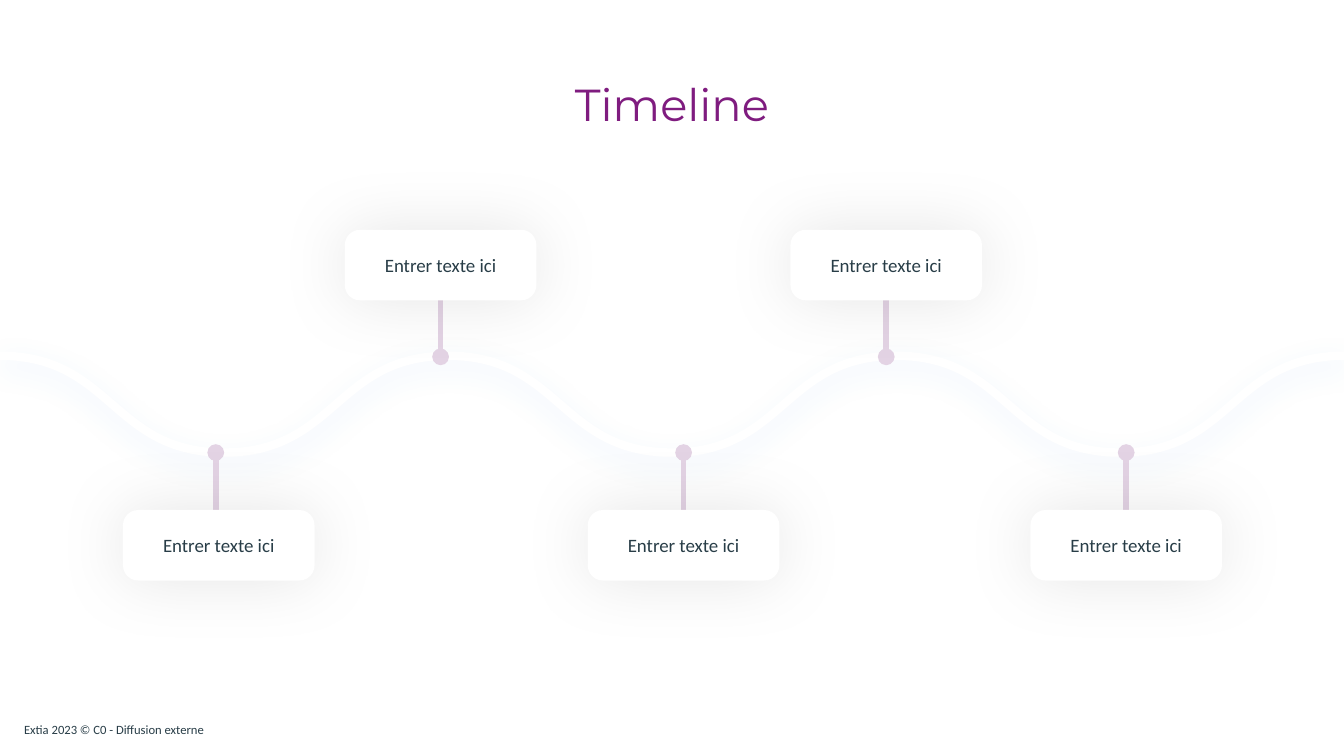
from lxml.etree import SubElement
from pptx import Presentation
from pptx.dml.color import RGBColor
from pptx.enum.shapes import MSO_CONNECTOR as Link, MSO_SHAPE as Shape
from pptx.enum.text import MSO_ANCHOR as Anchor, PP_ALIGN as Align
from pptx.oxml.ns import qn
from pptx.util import Inches, Pt

WHITE = RGBColor(0xFF, 0xFF, 0xFF)
PURPLE = RGBColor(0x7F, 0x1C, 0x7F)
MAUVE = RGBColor(0xE3, 0xD3, 0xE4)
SLATE = RGBColor(0x28, 0x3D, 0x47)
BLUE = RGBColor(0x33, 0x8A, 0xE8)
BLACK = RGBColor(0, 0, 0)


def cast(shape, color, blur, dist=0, angle=0):
    """Give a shape a soft outer shadow at 9 % opacity; angle is in degrees."""
    shape.shadow.inherit = False
    effects = shape._element.spPr.find(qn("a:effectLst"))
    shade = SubElement(effects, qn("a:outerShdw"), blurRad=str(Pt(blur)),
                       dist=str(Pt(dist)), dir=str(angle * 60000),
                       algn="ctr", rotWithShape="0")
    tint = SubElement(shade, qn("a:srgbClr"), val=str(color))
    SubElement(tint, qn("a:alpha"), val="9000")


def write(shape, text, anchor, align, side, look):
    """Fill a shape with one paragraph; side is the left and right inset."""
    frame = shape.text_frame
    layout = {"word_wrap": True, "vertical_anchor": anchor,
              "margin_left": Inches(side), "margin_right": Inches(side),
              "margin_top": Inches(0.05), "margin_bottom": Inches(0.05)}
    for key, value in layout.items():
        setattr(frame, key, value)
    para = frame.paragraphs[0]
    para.alignment = align
    run = para.add_run()
    run.text = text
    name, size, color = look
    for key, value in {"name": name, "size": Pt(size)}.items():
        setattr(run.font, key, value)
    run.font.color.rgb = color
    return para


deck = Presentation()
deck.slide_width, deck.slide_height = Inches(13.33), Inches(7.5)
slide = deck.slides.add_slide(deck.slide_layouts[6])
shapes = slide.shapes

# Wave: six S-curves, alternately falling and rising
CREST, DROP, WAVES = 3.53, 0.96, 6
span = 13.33 / WAVES
build = shapes.build_freeform(0, Inches(CREST))
build.add_line_segments([(Inches(n * span), Inches(CREST + DROP * (n % 2)))
                         for n in range(1, WAVES + 1)], close=False)
curve = build.convert_to_shape()
# Bend each straight segment into a cubic with level ends
for n, leg in enumerate(list(curve._element.iter(qn("a:lnTo")))):
    bend = leg.getparent().makeelement(qn("a:cubicBezTo"))
    half = Inches((n + 0.5) * span)
    for end in (n, n + 1):
        SubElement(bend, qn("a:pt"), x=str(half),
                   y=str(Inches(DROP * (end % 2))))
    bend.append(leg[0])
    leg.getparent().replace(leg, bend)
curve.fill.background()
curve.line.color.rgb = WHITE
curve.line.width = Pt(6)
cast(curve, BLUE, 20, 6, 90)

# Steps: left and top of the box, x of its pin, start and end of the stem
WIDE, HIGH = 1.9, 0.7
first = None
for left, top, pin, start, dot in ((3.42, 2.28, 4.37, 2.63, 3.54),
                                   (7.84, 2.28, 8.79, 2.98, 3.54),
                                   (5.83, 5.06, 6.78, 5.4, 4.49),
                                   (10.22, 5.06, 11.17, 5.4, 4.49),
                                   (1.22, 5.06, 2.14, 5.5, 4.49)):
    box = shapes.add_shape(Shape.ROUNDED_RECTANGLE, Inches(left), Inches(top),
                           Inches(WIDE), Inches(HIGH))
    box.adjustments[0] = 0.216
    box.fill.solid()
    box.fill.fore_color.rgb = WHITE
    box.line.fill.background()
    cast(box, BLACK, 50)
    write(box, "Entrer texte ici", Anchor.MIDDLE, Align.CENTER, 0.05,
          ("Calibri", 13.5, SLATE))

    stem = shapes.add_connector(Link.STRAIGHT, Inches(pin), Inches(start),
                                Inches(pin), Inches(dot))
    if start == 2.98:
        stem.begin_connect(box, 2)
    stem.line.color.rgb = MAUVE
    stem.line.width = Pt(4)
    SubElement(stem.line._get_or_add_ln(), qn("a:tailEnd"), type="oval")
    SubElement(stem._element.spPr, qn("a:effectLst"))
    # Every stem lies behind every box
    first = first or box
    first._element.addprevious(stem._element)

title = shapes.add_textbox(Inches(3.38), Inches(0.77), Inches(6.57), Inches(0.51))
head = write(title, "Timeline", Anchor.TOP, Align.CENTER, 0.05,
             ("Montserrat", 32, PURPLE))
head.line_spacing = 0.9

foot = shapes.add_textbox(Inches(0.14), Inches(7.11), Inches(2.19), Inches(0.25))
write(foot, "Extia 2023 © C0 - Diffusion externe", Anchor.MIDDLE, Align.LEFT, 0.1,
      ("Calibri", 9, SLATE))

deck.save("out.pptx")
